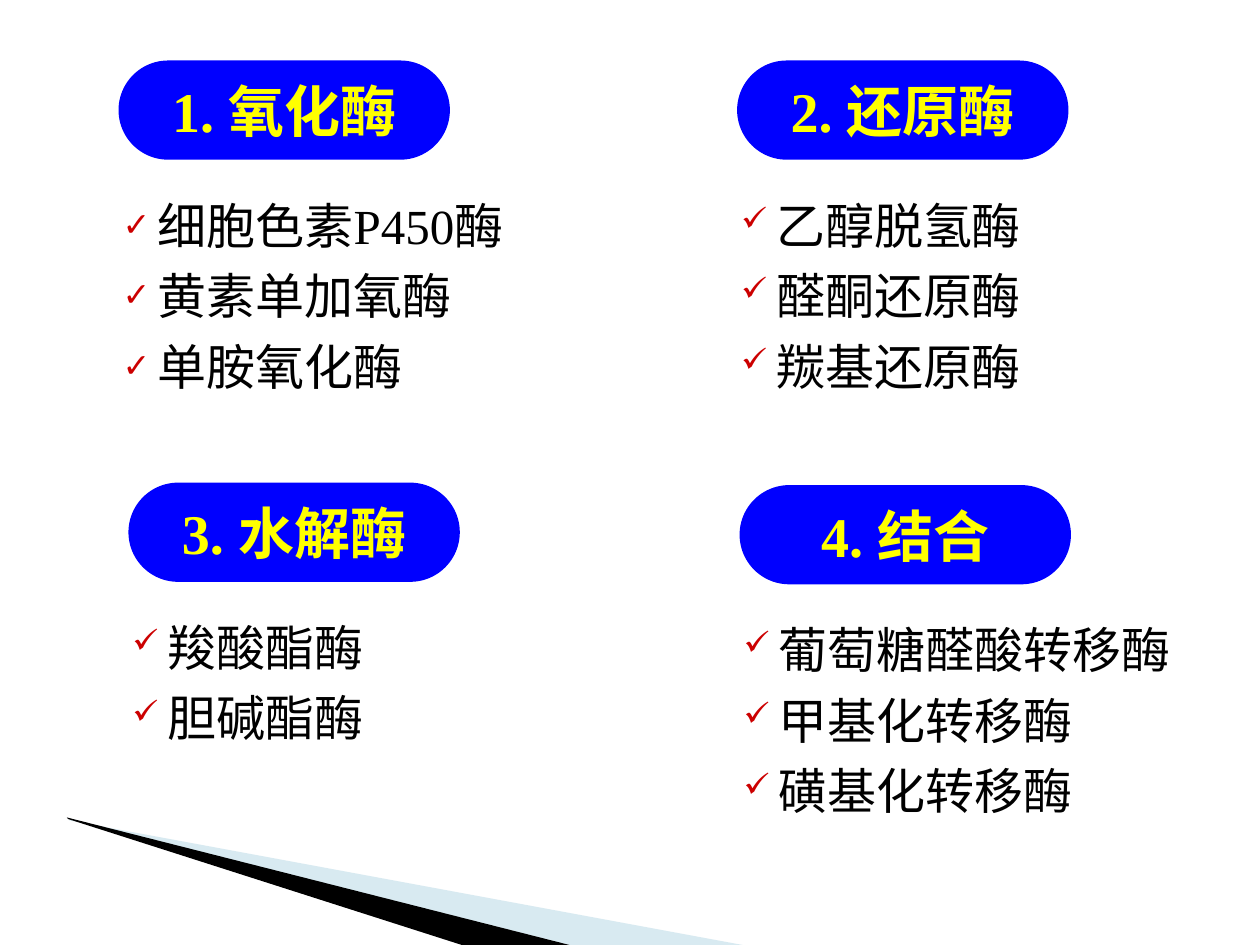
from lxml.etree import SubElement
from pptx import Presentation
from pptx.dml.color import RGBColor
from pptx.enum.shapes import MSO_SHAPE
from pptx.enum.text import MSO_ANCHOR, MSO_AUTO_SIZE, PP_ALIGN
from pptx.oxml.ns import qn
from pptx.util import Cm, Pt


def color(hex_text):
    return RGBColor.from_string(hex_text)


def style(paragraph, size, hex_text, bold):
    paragraph.font.name = "Times New Roman"
    paragraph.font.size = Pt(size)
    paragraph.font.bold = bold
    paragraph.font.color.rgb = color(hex_text)


prs = Presentation()
prs.slide_width, prs.slide_height = Cm(25.4), Cm(19.05)
slide = prs.slides.add_slide(prs.slide_layouts[1])
unused_title = slide.shapes.title.element
unused_title.getparent().remove(unused_title)

wedges = [
    ("9FCBDC", 40, [(1.4, 16.54), (14.97, 19.05), (11.48, 19.05), (1.4, 16.51)]),
    ("000000", 100, [(1.35, 16.48), (11.48, 19.05), (9.31, 19.05), (1.37, 16.51)]),
]
for fill, opacity, corners in wedges:
    points = [(Cm(x), Cm(y)) for x, y in corners]
    builder = slide.shapes.build_freeform(*points[0])
    builder.add_line_segments(points[1:])
    wedge = builder.convert_to_shape()
    wedge.shadow.inherit = False
    wedge.line.fill.background()
    wedge.fill.solid()
    wedge.fill.fore_color.rgb = color(fill)
    tint = wedge.fill._xPr.find(".//" + qn("a:srgbClr"))
    SubElement(tint, qn("a:alpha"), val=str(opacity * 1000))

enzyme_groups = [
    (2.39, 1.22, 11.86, "1. 氧化酶", ["细胞色素P450酶", "黄素单加氧酶", "单胺氧化酶"]),
    (14.86, 1.22, 12.27, "2. 还原酶", ["乙醇脱氢酶", "醛酮还原酶", "羰基还原酶"]),
    (2.59, 9.73, 7.42, "3. 水解酶", ["羧酸酯酶", "胆碱酯酶"]),
    (14.91, 9.78, 11.86, "4. 结合", ["葡萄糖醛酸转移酶", "甲基化转移酶", "磺基化转移酶"]),
]
for number, (left, top, list_width, heading, enzymes) in enumerate(enzyme_groups):
    pill = slide.shapes.add_shape(
        MSO_SHAPE.ROUNDED_RECTANGLE, Cm(left), Cm(top), Cm(6.68), Cm(2)
    )
    pill.adjustments[0] = 0.5
    pill.shadow.inherit = False
    pill.fill.solid()
    pill.fill.fore_color.rgb = color("0000FF")
    pill.line.fill.background()
    pill.text_frame.word_wrap = False
    pill.text_frame.vertical_anchor = MSO_ANCHOR.MIDDLE
    caption = pill.text_frame.paragraphs[0]
    caption.text = heading
    caption.alignment = PP_ALIGN.CENTER
    style(caption, 32, "FFFF00", True)

    place = Cm(left - 0.48), Cm(top + 2.35), Cm(list_width), Cm(4.9)
    if number == 0:
        enzyme_list = slide.placeholders[1]
        enzyme_list.left, enzyme_list.top, enzyme_list.width, enzyme_list.height = place
    else:
        enzyme_list = slide.shapes.add_textbox(*place)
    frame = enzyme_list.text_frame
    frame.word_wrap = True
    frame.auto_size = MSO_AUTO_SIZE.NONE
    frame.text = "\n".join(enzymes)
    for enzyme in frame.paragraphs:
        enzyme.line_spacing = 1.2
        enzyme.space_before = Pt(0)
        props = enzyme._p.get_or_add_pPr()
        props.set("marL", str(Cm(1.02)))
        props.set("indent", str(Cm(-0.71)))
        SubElement(SubElement(props, qn("a:buClr")), qn("a:srgbClr"), val="CC0000")
        SubElement(props, qn("a:buSzPct"), val="68000")
        SubElement(props, qn("a:buChar"), char="✓")
        style(enzyme, 28, "000000", False)

prs.save("out.pptx")
